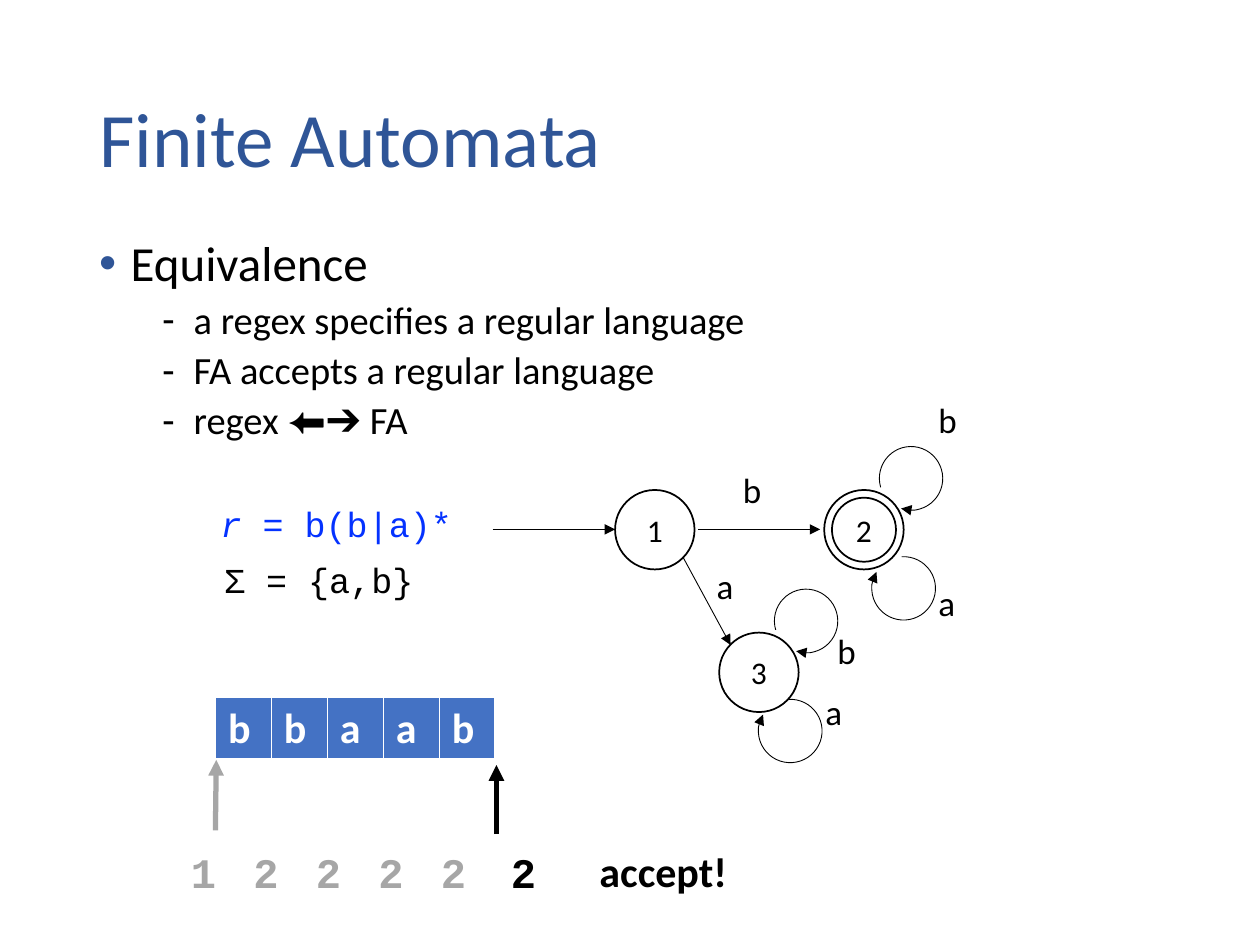
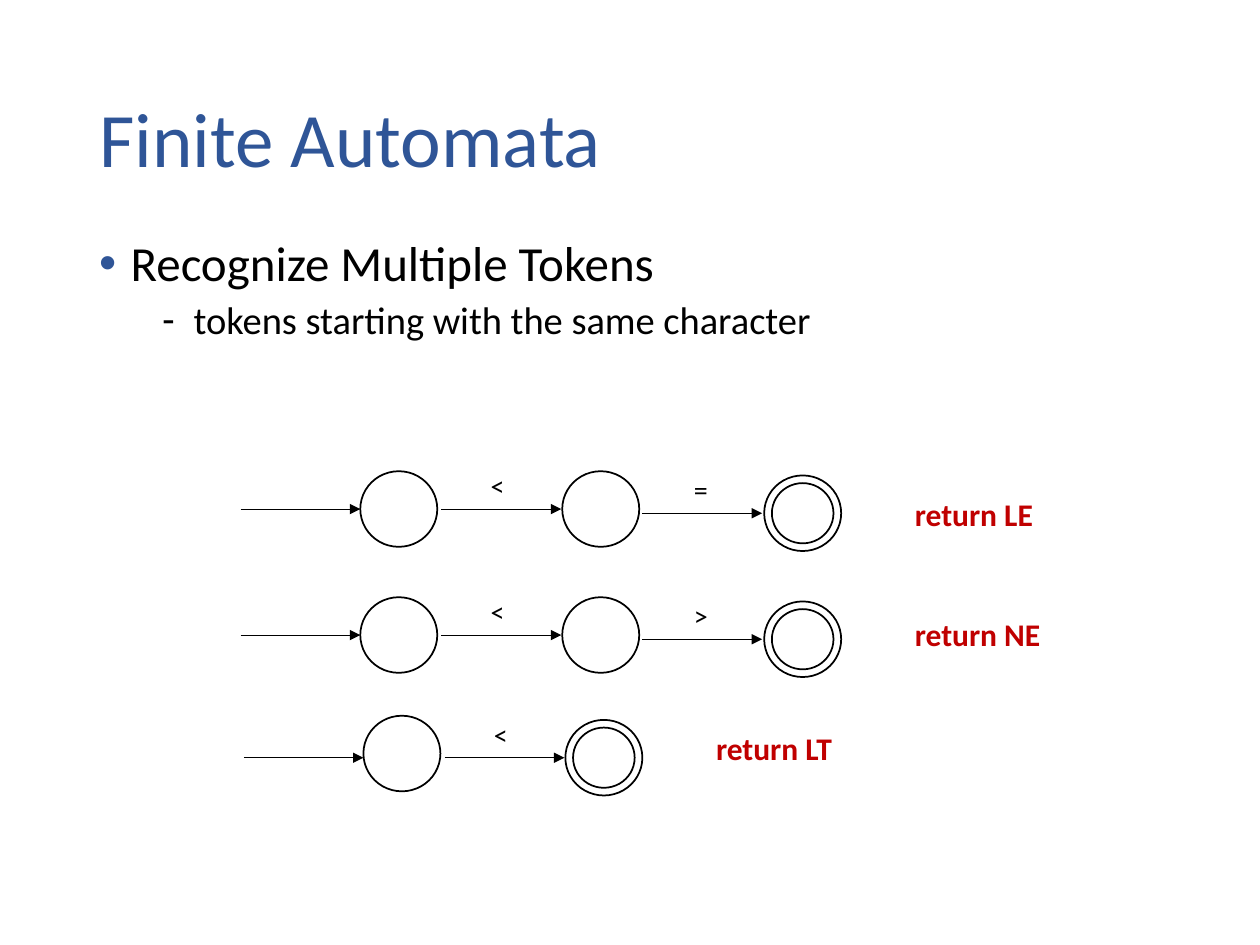
"""Build two slides on finite automata."""
from dataclasses import dataclass

from lxml import etree
from pptx import Presentation
from pptx.dml.color import RGBColor
from pptx.enum import shapes, text
from pptx.oxml import ns
from pptx.util import Pt


@dataclass(frozen=True)
class Theme:
    """Colours, fonts and type sizes of the deck."""
    ink: str = "000000"
    title: str = "2F5597"
    regex: str = "0432FF"
    past: str = "A6A6A6"
    cell: str = "4472C4"
    paper: str = "FFFFFF"
    token: str = "C00000"
    sans: str = "Calibri"
    mono: str = "Courier New"
    head: int = 44
    lead: int = 28
    item: int = 22
    big: int = 24
    mid: int = 20
    state: int = 18
    small: int = 16
    thin: float = 0.5
    ring: float = 1
    bold: float = 3


T = Theme()
SHAPE = shapes.MSO_SHAPE
ALIGN = text.PP_ALIGN


def rgb(code):
    """Turn a hex code into a colour."""
    return RGBColor.from_string(code)


def sub(parent, tag, **attrs):
    """Append a drawing element and return it."""
    return etree.SubElement(parent, ns.qn(tag), **attrs)


def add_run(para, words, size, color=T.ink, font=T.sans, bold=False, slant=False):
    """Add one formatted run to a paragraph."""
    run = para.add_run()
    run.text = words
    face = run.font
    face.name, face.size, face.bold, face.italic = font, Pt(size), bold, slant
    face.color.rgb = rgb(color)


def add_text(slide, x, y, w, h, words, size, wrap=False, align=ALIGN.LEFT, **style):
    """Place a text box with one run and return its paragraph."""
    frame = slide.shapes.add_textbox(Pt(x), Pt(y), Pt(w), Pt(h)).text_frame
    frame.word_wrap = wrap
    para = frame.paragraphs[0]
    para.alignment = align
    add_run(para, words, size, **style)
    return para


def set_line(shape, width, color=T.ink, arrow=False):
    """Style an outline, with an arrowhead at its end if asked."""
    shape.line.color.rgb = rgb(color)
    shape.line.width = Pt(width)
    if arrow:
        ln = shape._element.spPr.find(ns.qn("a:ln"))
        sub(ln, "a:tailEnd", type="triangle")


def add_arrow(slide, x1, y1, x2, y2, width=T.thin, color=T.ink):
    """Draw a straight arrow."""
    link = slide.shapes.add_connector(
        shapes.MSO_CONNECTOR.STRAIGHT, Pt(x1), Pt(y1), Pt(x2), Pt(y2))
    set_line(link, width, color, arrow=True)
    sub(link._element.spPr, "a:effectLst")


def outline(slide, kind, x, y, w, h, width, arrow=False):
    """Draw an unfilled shape."""
    shape = slide.shapes.add_shape(kind, Pt(x), Pt(y), Pt(w), Pt(h))
    shape.shadow.inherit = False
    shape.fill.background()
    set_line(shape, width, arrow=arrow)
    return shape


def add_state(slide, x, y, w, h, name="", final=False):
    """Draw a state, with an inner ring if it is final."""
    ring = outline(slide, SHAPE.OVAL, x, y, w, h, T.ring)
    if name:
        frame = ring.text_frame
        frame.margin_left = frame.margin_right = 0
        frame.vertical_anchor = text.MSO_ANCHOR.MIDDLE
        para = frame.paragraphs[0]
        para.alignment = ALIGN.CENTER
        add_run(para, name, T.state)
    if final:
        gap = 4.4
        outline(slide, SHAPE.OVAL, x + gap, y + gap, w - 2 * gap, h - 2 * gap, T.ring)


def add_loops(slide, x, y, low):
    """Draw the upper and lower self-loops of the state at x, y."""
    for dx, dy, turn in ((31.4, -24.8, 253.6), (low, 38.1, 356.5)):
        arc = outline(slide, SHAPE.ARC, x + dx, y + dy, 36.4, 36.2, T.thin, arrow=True)
        arc.adjustments[0] = 162
        arc.adjustments[1] = 128.817
        arc.rotation = turn


def place(shape, x, y, w, h, anchor):
    """Move a placeholder and return its text frame."""
    shape.left, shape.top, shape.width, shape.height = Pt(x), Pt(y), Pt(w), Pt(h)
    frame = shape.text_frame
    frame.word_wrap = True
    frame.auto_size = text.MSO_AUTO_SIZE.NONE
    frame.vertical_anchor = anchor
    return frame


def add_item(para, words, sub_item):
    """Write one list item with its bullet."""
    para.alignment = ALIGN.LEFT
    para.level = int(sub_item)
    para.line_spacing = 0.9
    para.space_before = Pt(5 if sub_item else 10)
    add_run(para, words, T.item if sub_item else T.lead)
    props = para._p.get_or_add_pPr()
    props.set("marL", str(Pt(54 if sub_item else 18)))
    props.set("indent", str(Pt(-18)))
    tint = sub(props, "a:buClr")
    sub(tint, "a:srgbClr", val=T.ink if sub_item else T.title)
    sub(props, "a:buChar", char="-" if sub_item else "•")


def add_slide(deck, lead, items, width):
    """Start a slide with the shared title and a list."""
    slide = deck.slides.add_slide(deck.slide_layouts[1])
    head = place(slide.shapes.title, 49.5, 29, 621, 104.4, text.MSO_ANCHOR.MIDDLE)
    para = head.paragraphs[0]
    para.alignment = ALIGN.LEFT
    para.line_spacing = 0.9
    add_run(para, "Finite Automata", T.head, T.title)
    body = place(slide.placeholders[1], 49.5, 133.2, width, 124.6, text.MSO_ANCHOR.TOP)
    add_item(body.paragraphs[0], lead, False)
    for words in items:
        add_item(body.add_paragraph(), words, True)
    return slide


def add_regex(slide, x, y):
    """Write the regular expression and its alphabet."""
    para = add_text(slide, x, y, 186, 34, "r ", T.mid, True,
                    color=T.regex, font=T.mono, slant=True)
    para.line_spacing = 1.1
    add_run(para, "= b(b|a)*", T.mid, T.regex, T.mono)
    para = add_text(slide, x - 34, y + 34.5, 191, 32, "Σ = {a,b}", T.mid, True, font=T.mono)
    para._p.get_or_add_pPr().set("marL", str(Pt(36)))


def add_tape(slide, x, y, word):
    """Draw the input tape, its pointers and the trace of states."""
    step = 32
    grid = slide.shapes.add_table(
        1, len(word), Pt(x), Pt(y), Pt(step * len(word)), Pt(29.5)).table
    for col, sign in enumerate(word):
        grid.columns[col].width = Pt(step)
        cell = grid.cell(0, col)
        props = cell._tc.get_or_add_tcPr()
        for side, width in (("L", 1), ("R", 1), ("T", 1), ("B", 3)):
            edge = sub(props, "a:ln" + side, w=str(Pt(width)))
            sub(sub(edge, "a:solidFill"), "a:srgbClr", val=T.paper)
        cell.fill.solid()
        cell.fill.fore_color.rgb = rgb(T.cell)
        add_run(cell.text_frame.paragraphs[0], sign, T.big, T.paper, bold=True)
    add_arrow(slide, x, y + 76.3, x + 0.5, y + 36, T.bold, T.past)
    add_arrow(slide, x + 160.6, y + 78.4, x + 160.6, y + 39, T.bold)
    trace = [(-24.5 + 35.7 * i, name, T.past) for i, name in enumerate("12222")]
    for dx, name, color in trace + [(158.4, "2", T.ink)]:
        add_text(slide, x + dx, y + 82, 35.3, 36, name, T.big, True, ALIGN.CENTER,
                 color=color, font=T.mono, bold=True)
    add_text(slide, x + 212.4, y + 81.5, 88.6, 36, "accept!", T.big, bold=True)


def add_graph(slide, x, y):
    """Draw the automaton with three states."""
    size = 45.4
    for dx, dy, name in ((70, 56, "1"), (189.5, 56, "2"), (129.5, 137.5, "3")):
        add_state(slide, x + dx, y + dy, size, size, name, final=name == "2")
    add_loops(slide, x + 189.5, y + 56, 27.2)
    add_loops(slide, x + 129.5, y + 137.5, 22.4)
    for x1, y1, x2, y2 in ((0, 78.5, 70, 78.5), (117.4, 78.5, 187.2, 78.5),
                           (108.7, 94.2, 136, 144.6)):
        add_arrow(slide, x + x1, y + y1, x + x2, y + y2)
    for dx, dy, sign in ((136, 40, "b"), (247.7, 0, "b"), (247.7, 105, "a"),
                         (121, 95, "a"), (183, 167, "a"), (190, 132.4, "b")):
        add_text(slide, x + dx, y + dy, 25, 31.5, sign, T.mid)


def add_chain(slide, x, y, signs, drops, token, fall):
    """Draw a row of states that ends in a returned token."""
    wide, high, step, reach = 44, 43.2, 115.4, 68.4
    last = len(signs)
    for i, drop in enumerate(drops):
        level = y + high / 2 + drop
        start = x + 114.8 * i
        add_arrow(slide, start, level, start + reach, level)
        final = i == last
        add_state(slide, x + reach + step * i, y + (drop if final else 0),
                  wide, high, final=final)
    for i, sign in enumerate(signs):
        add_text(slide, x + 135.8 + 116.2 * i, y - 5 + drops[i + 1], 31, 26.6,
                 sign, T.small, True)
    add_text(slide, x + reach + step * last + 79, y + fall, 86, 29, token, T.state,
             color=T.token, bold=True)


def main():
    """Build and save the deck."""
    deck = Presentation()
    deck.slide_width, deck.slide_height = Pt(720), Pt(540)

    slide = add_slide(deck, "Equivalence", (
        "a regex specifies a regular language",
        "FA accepts a regular language",
        "regex ⬅➔ FA"), 451.5)
    add_regex(slide, 119, 281)
    add_tape(slide, 123.1, 398.2, "bbaab")
    add_graph(slide, 281.5, 224)

    slide = add_slide(deck, "Recognize Multiple Tokens",
                      ("tokens starting with the same character",), 656.5)
    for x, y, signs, drops, token, fall in (
            (137.5, 269.3, "<=", (0, 0, 2.4), "return LE", 10),
            (137.5, 341.3, "<>", (0, 0, 2.4), "return NE", 6.5),
            (139.3, 409, "<", (2.4, 2.4), "return LT", 4.3)):
        add_chain(slide, x, y, signs, drops, token, fall)

    deck.save("out.pptx")


main()
